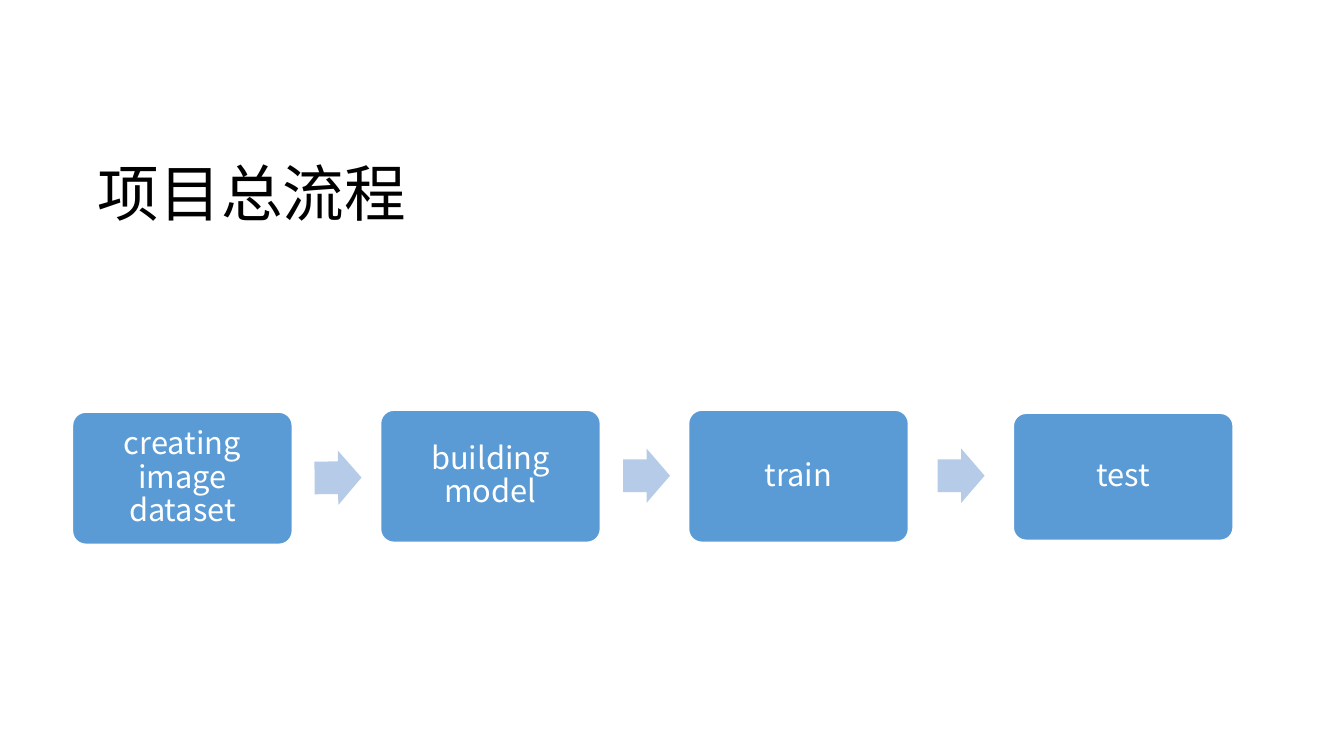
from dataclasses import dataclass

from lxml.etree import SubElement
from pptx import Presentation
from pptx.dml.color import RGBColor
from pptx.enum.shapes import MSO_SHAPE
from pptx.enum.text import MSO_ANCHOR, MSO_AUTO_SIZE, PP_ALIGN
from pptx.oxml.ns import qn
from pptx.shapes.autoshape import Shape
from pptx.slide import Slide
from pptx.text.text import TextFrame
from pptx.util import Inches, Pt

SLIDE_WIDTH, SLIDE_HEIGHT = Inches(13.33), Inches(7.5)
COLUMN, ROW = SLIDE_WIDTH / 100, SLIDE_HEIGHT / 100
TITLE_ONLY_LAYOUT = 5


@dataclass(frozen=True)
class Theme:
    font: str = "Noto Sans CJK SC"
    title_size: int = 44
    step_size: int = 22
    title_color: str = "000000"
    step_color: str = "FFFFFF"
    step_fill: str = "5B9BD5"
    arrow_fill: str = "B5CBE7"
    outline: str = "FFFFFF"


@dataclass(frozen=True)
class Area:
    """A rectangle in columns and rows of the slide grid."""
    left: float
    top: float
    width: float
    height: float

    def place(self) -> dict[str, int]:
        return {
            "left": round(self.left * COLUMN),
            "top": round(self.top * ROW),
            "width": round(self.width * COLUMN),
            "height": round(self.height * ROW),
        }


@dataclass(frozen=True)
class Step:
    label: str
    left: float
    top: float
    height: float = 17.47
    width: float = 16.35
    inset: float = 0.09


@dataclass(frozen=True)
class Arrow:
    left: float
    top: float = 59.33
    width: float = 3.49
    height: float = 7.2
    rotation: float = 0


THEME = Theme()
TITLE = "项目总流程"
TITLE_AREA = Area(6.53, 16.27, 86.27, 19.33)
FIRST_LEFT, PITCH = 5.4, 22.92
STEPS = [
    Step("creating image dataset", FIRST_LEFT, 54.53),
    Step("building model", FIRST_LEFT + PITCH, 54.27),
    Step("train", FIRST_LEFT + 2 * PITCH, 54.27),
    Step("test", 75.4, 54.67, height=16.8, inset=0.23),
]
ARROWS = [
    Arrow(23.41, top=59.6, rotation=359.5),
    Arrow(46.36),
    Arrow(69.77),
]


def set_attributes(target: object, values: dict[str, object]) -> None:
    for name, value in values.items():
        setattr(target, name, value)


def write_text(frame: TextFrame, text: str, size: int, color: str,
               alignment: PP_ALIGN, inset: float) -> None:
    margins = {f"margin_{side}": Inches(inset)
               for side in ("left", "top", "right", "bottom")}
    set_attributes(frame, {
        "word_wrap": True,
        "auto_size": MSO_AUTO_SIZE.NONE,
        "vertical_anchor": MSO_ANCHOR.MIDDLE,
        **margins,
    })
    paragraph = frame.paragraphs[0]
    set_attributes(paragraph, {"alignment": alignment, "line_spacing": 0.9})
    run = paragraph.add_run()
    run.text = text
    set_attributes(run.font, {"name": THEME.font, "size": Pt(size), "bold": False})
    run.font.color.rgb = RGBColor.from_string(color)
    east_asian = SubElement(run.font._element, qn("a:ea"))
    east_asian.set("typeface", THEME.font)


def add_filled_shape(slide: Slide, kind: MSO_SHAPE, area: Area, fill: str,
                     adjustments: list[float]) -> Shape:
    shape = slide.shapes.add_shape(kind, **area.place())
    shape.shadow.inherit = False
    shape.fill.solid()
    shape.fill.fore_color.rgb = RGBColor.from_string(fill)
    for index, value in enumerate(adjustments):
        shape.adjustments[index] = value
    return shape


def add_title(slide: Slide) -> None:
    title = slide.shapes.title
    set_attributes(title, TITLE_AREA.place())
    write_text(title.text_frame, TITLE, THEME.title_size, THEME.title_color,
               PP_ALIGN.LEFT, 0.1)


def add_step(slide: Slide, step: Step) -> None:
    area = Area(step.left, step.top, step.width, step.height)
    box = add_filled_shape(slide, MSO_SHAPE.ROUNDED_RECTANGLE, area,
                           THEME.step_fill, [0.1])
    box.line.color.rgb = RGBColor.from_string(THEME.outline)
    box.line.width = Pt(1)
    write_text(box.text_frame, step.label, THEME.step_size, THEME.step_color,
               PP_ALIGN.CENTER, step.inset)


def add_arrow(slide: Slide, arrow: Arrow) -> None:
    area = Area(arrow.left, arrow.top, arrow.width, arrow.height)
    shape = add_filled_shape(slide, MSO_SHAPE.RIGHT_ARROW, area,
                             THEME.arrow_fill, [0.6, 0.5])
    shape.line.fill.background()
    shape.rotation = arrow.rotation


def main() -> None:
    presentation = Presentation()
    set_attributes(presentation, {"slide_width": SLIDE_WIDTH,
                                  "slide_height": SLIDE_HEIGHT})
    layout = presentation.slide_layouts[TITLE_ONLY_LAYOUT]
    slide = presentation.slides.add_slide(layout)
    add_title(slide)
    for step in STEPS:
        add_step(slide, step)
    for arrow in ARROWS:
        add_arrow(slide, arrow)
    presentation.save("out.pptx")


if __name__ == "__main__":
    main()
